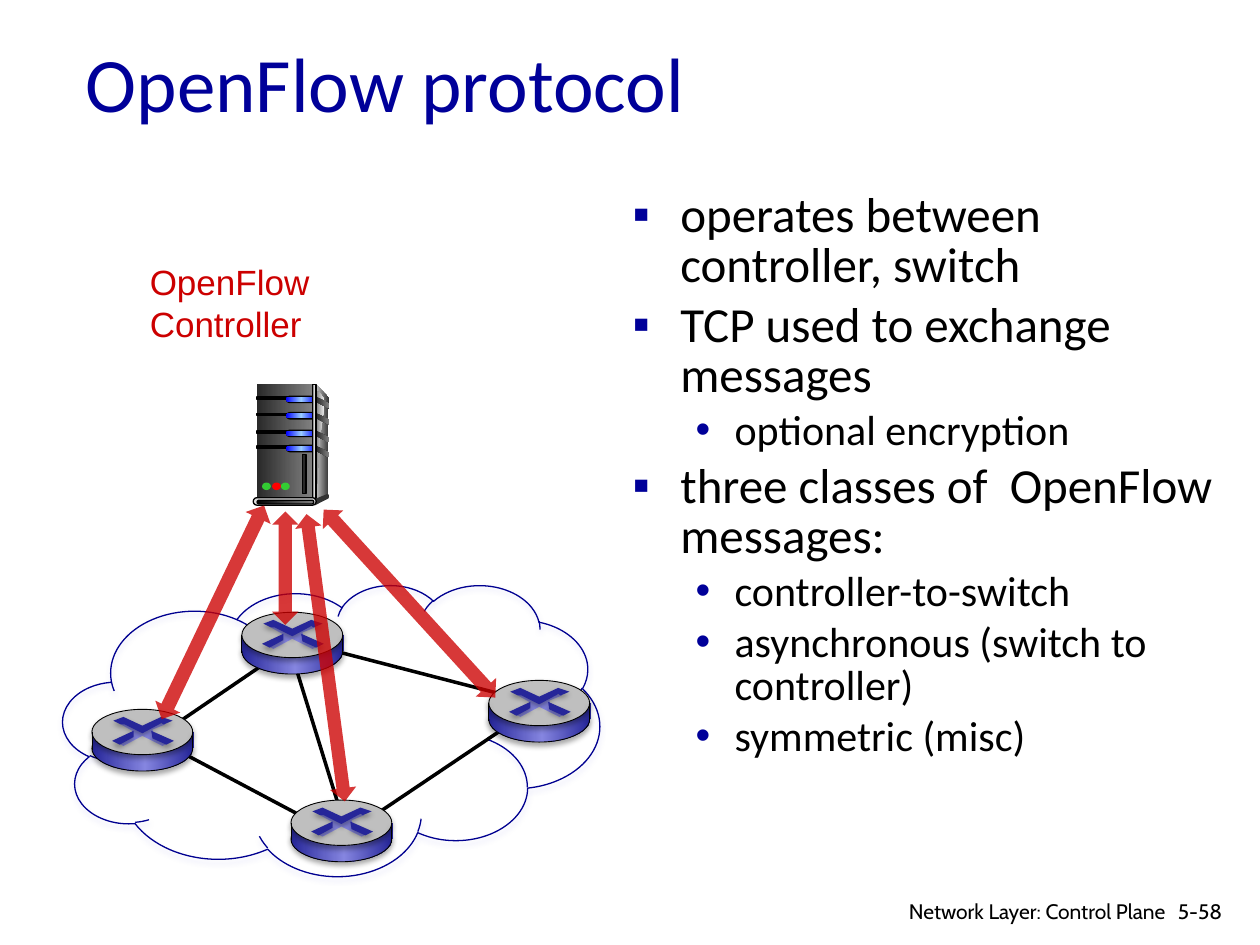
from lxml import etree
from pptx import Presentation
from pptx.dml.color import RGBColor
from pptx.enum.shapes import MSO_CONNECTOR, MSO_SHAPE
from pptx.enum.text import MSO_ANCHOR, MSO_AUTO_SIZE, PP_ALIGN
from pptx.oxml.ns import qn
from pptx.util import Cm, Pt

RECT, OVAL, PILL = MSO_SHAPE.RECTANGLE, MSO_SHAPE.OVAL, MSO_SHAPE.ROUNDED_RECTANGLE
CLOUD, ARROW = MSO_SHAPE.CLOUD, MSO_SHAPE.UP_DOWN_ARROW
STRAIGHT = MSO_CONNECTOR.STRAIGHT
LEFT, RIGHT = PP_ALIGN.LEFT, PP_ALIGN.RIGHT
MIDDLE, TOP = MSO_ANCHOR.MIDDLE, MSO_ANCHOR.TOP
NO_FIT = MSO_AUTO_SIZE.NONE

COLORS = {
    "title": "000099", "black": "000000", "red": "CC0000", "cloud": "000090",
    "cloud_shadow": "A5A5E9", "navy": "262699", "lilac": "8585E0",
    "silver": "BFBFBF", "light": "DDDDDD", "dark": "333333", "coal": "292929",
    "gray": "808080", "pale": "F8F8F8", "blue": "0000FF", "sky": "99CCFF",
    "green": "33CC33", "lamp": "FF0000",
}
ROUTER_SIDE = [(0, "navy"), (53, "lilac"), (100, "navy")]
METAL = [(0, "coal"), (100, "gray")]
GLOW = [(0, "blue"), (50, "sky"), (100, "blue")]

BULLETS = [
    (0, "operates between controller, switch"),
    (0, "TCP used to exchange messages"),
    (1, "optional encryption"),
    (0, "three classes of  OpenFlow messages:"),
    (1, "controller-to-switch"),
    (1, "asynchronous (switch to controller)"),
    (1, "symmetric (misc)"),
]
LEVELS = [(28, "▪", 0.38, 0.38), (24, "•", 0.81, 0.31)]

LINKS = [
    (1.23, 5.86, 2.55, 4.96), (1.23, 5.86, 2.55, 6.56), (2.33, 5.24, 2.68, 6.37),
    (2.63, 5.16, 4.06, 5.53), (2.84, 6.56, 4.06, 5.74),
]
ROUTERS = [(2.31, 6.35), (3.88, 5.40), (0.73, 5.63), (1.92, 4.86)]
CROSS = [
    (0.40, 0.21), (0.25, 0.29), (0.21, 0.27), (0.33, 0.22), (0.32, 0.17),
    (0.23, 0.12), (0.26, 0.11), (0.40, 0.17), (0.54, 0.11), (0.58, 0.12),
    (0.48, 0.16), (0.50, 0.23), (0.60, 0.27), (0.56, 0.29),
]
CHEVRON = [
    (0.17, 0.09), (0.25, 0.06), (0.40, 0.13), (0.55, 0.06), (0.64, 0.09),
    (0.57, 0.12), (0.55, 0.11), (0.40, 0.19), (0.26, 0.12), (0.23, 0.12),
]
RIGHT_LEG = [(0.47, 0.17), (0.65, 0.25), (0.59, 0.28), (0.48, 0.23)]
LEFT_LEG = [(0.33, 0.17), (0.33, 0.22), (0.22, 0.28), (0.16, 0.25)]
NOTCH = [(0, 0), (0.10, 0.05), (0.10, 0.09), (0, 0.04)]
FLOWS = [
    (2.48, 4.07, 0.21, 2.30, 352.4), (2.16, 4.06, 0.21, 0.90, 0),
    (3.14, 3.78, 0.22, 2.02, 317.6), (1.58, 3.92, 0.22, 1.88, 25.6),
]


def inch(value):
    return Cm(value * 2.54)


def rgb(name):
    return RGBColor.from_string(COLORS[name])


def add_xml(parent, tag, **attrs):
    return etree.SubElement(parent, qn(tag), {k: str(v) for k, v in attrs.items()})


class SlideBuilder:
    def __init__(self, slide, font="Calibri"):
        self.s = slide
        self.font = font

    def place(self, sp, box):
        sp.left, sp.top, sp.width, sp.height = [inch(v) for v in box]

    def run(self, p, text, size, color="black", font=None):
        r = p.add_run()
        r.text = text
        r.font.size = Pt(size)
        r.font.name = font or self.font
        r.font.color.rgb = rgb(color)

    def title(self, text, box):
        sp = self.s.shapes.title
        self.place(sp, box)
        tf = sp.text_frame
        tf.vertical_anchor, tf.auto_size = MIDDLE, NO_FIT
        p = tf.paragraphs[0]
        p.alignment = LEFT
        self.run(p, text, 44, "title")

    def bullets(self, items, box):
        sp = self.s.placeholders[1]
        self.place(sp, box)
        tf = sp.text_frame
        tf.vertical_anchor, tf.auto_size = TOP, NO_FIT
        for i, (level, text) in enumerate(items):
            size, mark, margin, hang = LEVELS[level]
            p = tf.add_paragraph() if i else tf.paragraphs[0]
            pPr = p._p.get_or_add_pPr()
            pPr.set("marL", str(inch(margin)))
            pPr.set("indent", str(-inch(hang)))
            add_xml(add_xml(pPr, "a:buClr"), "a:srgbClr", val=COLORS["title"])
            add_xml(pPr, "a:buFont", typeface="Arial")
            add_xml(pPr, "a:buChar", char=mark)
            p.level = level
            p.line_spacing = 0.85
            p.space_before = Pt(size * 0.2 if i else 0)
            self.run(p, text, size)

    def text(self, lines, box, size, font, color="black", align=LEFT):
        tf = self.s.shapes.add_textbox(*[inch(v) for v in box]).text_frame
        tf.word_wrap = True
        p = tf.paragraphs[0]
        p.alignment = align
        for i, line in enumerate(lines):
            if i:
                p.add_line_break()
            self.run(p, line, size, color, font)

    def drop_shadow(self, effects, color):
        shadow = add_xml(effects, "a:outerShdw", blurRad=Pt(3.1), dist=Pt(1.8),
                         dir=5400000, algn="ctr", rotWithShape=0)
        clr = add_xml(shadow, "a:srgbClr", val=COLORS[color])
        add_xml(clr, "a:alpha", val=35000)

    def paint(self, sp, fill, line, width, shadow):
        if fill is None:
            sp.fill.background()
        elif isinstance(fill, list):
            sp.fill.gradient()
            sp.fill.gradient_angle = 0
            stops = sp._element.spPr.find(".//" + qn("a:gsLst"))
            stops.clear()
            for pos, name in fill:
                stop = add_xml(stops, "a:gs", pos=pos * 1000)
                add_xml(stop, "a:srgbClr", val=COLORS[name])
        else:
            sp.fill.solid()
            sp.fill.fore_color.rgb = rgb(fill)
        if line:
            sp.line.color.rgb = rgb(line)
            sp.line.width = Pt(width)
        else:
            sp.line.fill.background()
        sp.shadow.inherit = False
        if shadow:
            self.drop_shadow(sp._element.spPr.find(qn("a:effectLst")), shadow)
        return sp

    def shape(self, kind, box, fill=None, line=None, width=0.75, shadow=None):
        sp = self.s.shapes.add_shape(kind, *[inch(v) for v in box])
        if kind == PILL:
            sp.adjustments[0] = 0.5
        return self.paint(sp, fill, line, width, shadow)

    def outline(self, points, fill, shadow=None, at=(0, 0)):
        pts = [(inch(at[0] + x), inch(at[1] + y)) for x, y in points]
        builder = self.s.shapes.build_freeform(*pts[0])
        builder.add_line_segments(pts[1:], close=True)
        return self.paint(builder.convert_to_shape(), fill, None, 0, shadow)

    def line(self, ends, width, shadow=None):
        c = self.s.shapes.add_connector(STRAIGHT, *[inch(v) for v in ends])
        c.line.color.rgb = rgb("black")
        c.line.width = Pt(width)
        effects = add_xml(c._element.spPr, "a:effectLst")
        if shadow:
            self.drop_shadow(effects, shadow)

    def flow(self, box, angle):
        sp = self.shape(ARROW, box, "red")
        sp.rotation = angle
        clr = sp._element.spPr.find(qn("a:solidFill")).find(qn("a:srgbClr"))
        add_xml(clr, "a:alpha", val=78000)

    def server(self):
        self.outline([(2.51, 3.05), (2.61, 3.16), (2.60, 3.93), (2.49, 3.97)],
                     [(0, "light"), (100, "dark")])
        self.shape(RECT, (2.04, 3.05, 0.44, 0.92), METAL)
        self.outline([(2.51, 3.10), (2.54, 3.12), (2.58, 3.18), (2.54, 3.47),
                      (2.51, 3.94)], [(0, "gray"), (100, "pale")])
        for y in (3.15, 3.28, 3.42, 3.54):
            self.outline(NOTCH, METAL, at=(2.51, y))
            self.shape(RECT, (2.04, y, 0.25, 0.02), "black", "black")
            self.shape(PILL, (2.27, y - 0.01, 0.24, 0.06), "black")
            self.shape(PILL, (2.27, y, 0.24, 0.04), GLOW)
        self.shape(RECT, (2.48, 3.05, 0.03, 0.92),
                   [(0, "dark"), (50, "light"), (100, "dark")], "black")
        self.shape(OVAL, (2.59, 3.92, 0.02, 0.04), "dark")
        self.outline([(2.50, 3.96), (2.50, 4.01), (2.60, 3.96), (2.60, 3.92)], "dark")
        self.shape(PILL, (2.01, 3.95, 0.50, 0.06), "light", "black")
        self.shape(PILL, (2.04, 3.97, 0.45, 0.03), [(0, "black"), (100, "gray")], "black")
        for x, color in ((2.08, "green"), (2.16, "lamp"), (2.23, "green")):
            self.shape(OVAL, (x, 3.83, 0.07, 0.06), color)
        self.shape(RECT, (2.40, 3.61, 0.03, 0.31), "coal", "black")

    def router(self, x, y):
        self.shape(OVAL, (x, y + 0.13, 0.80, 0.36), ROUTER_SIDE, "black", 0.5, "black")
        self.shape(RECT, (x, y + 0.18, 0.81, 0.13), ROUTER_SIDE)
        self.shape(OVAL, (x, y, 0.80, 0.36), "silver", "black", 0.5, "black")
        self.outline(CROSS, "lilac", at=(x, y))
        for part in (CHEVRON, RIGHT_LEG, LEFT_LEG):
            self.outline(part, "navy", "black", (x, y))
        for edge in (x, x + 0.80):
            self.line((edge, y + 0.32, edge, y + 0.18), 0.5, "black")


def main():
    prs = Presentation()
    prs.slide_width, prs.slide_height = Cm(25.4), Cm(19.05)
    b = SlideBuilder(prs.slides.add_slide(prs.slide_layouts[1]))
    b.title("OpenFlow protocol", (0.58, 0.02, 8.50, 1.25))
    b.bullets(BULLETS, (4.92, 1.48, 4.95, 5.08))
    b.shape(CLOUD, (0.50, 4.64, 4.26, 2.31), None, "cloud", 0.75, "cloud_shadow")
    for ends in LINKS:
        b.line(ends, 2)
    b.server()
    b.text(["OpenFlow", "Controller"], (1.09, 2.02, 2.69, 0.44), 20, "Arial", "red")
    for x, y in ROUTERS:
        b.router(x, y)
    for *box, angle in FLOWS:
        b.flow(box, angle)
    b.text(["5-58"], (9.25, 7.08, 0.60, 0.30), 12, "Cabin")
    b.text(["Network Layer: Control Plane"], (6.97, 7.08, 2.38, 0.26), 12, "Cabin", align=RIGHT)
    prs.save("out.pptx")


if __name__ == "__main__":
    main()
